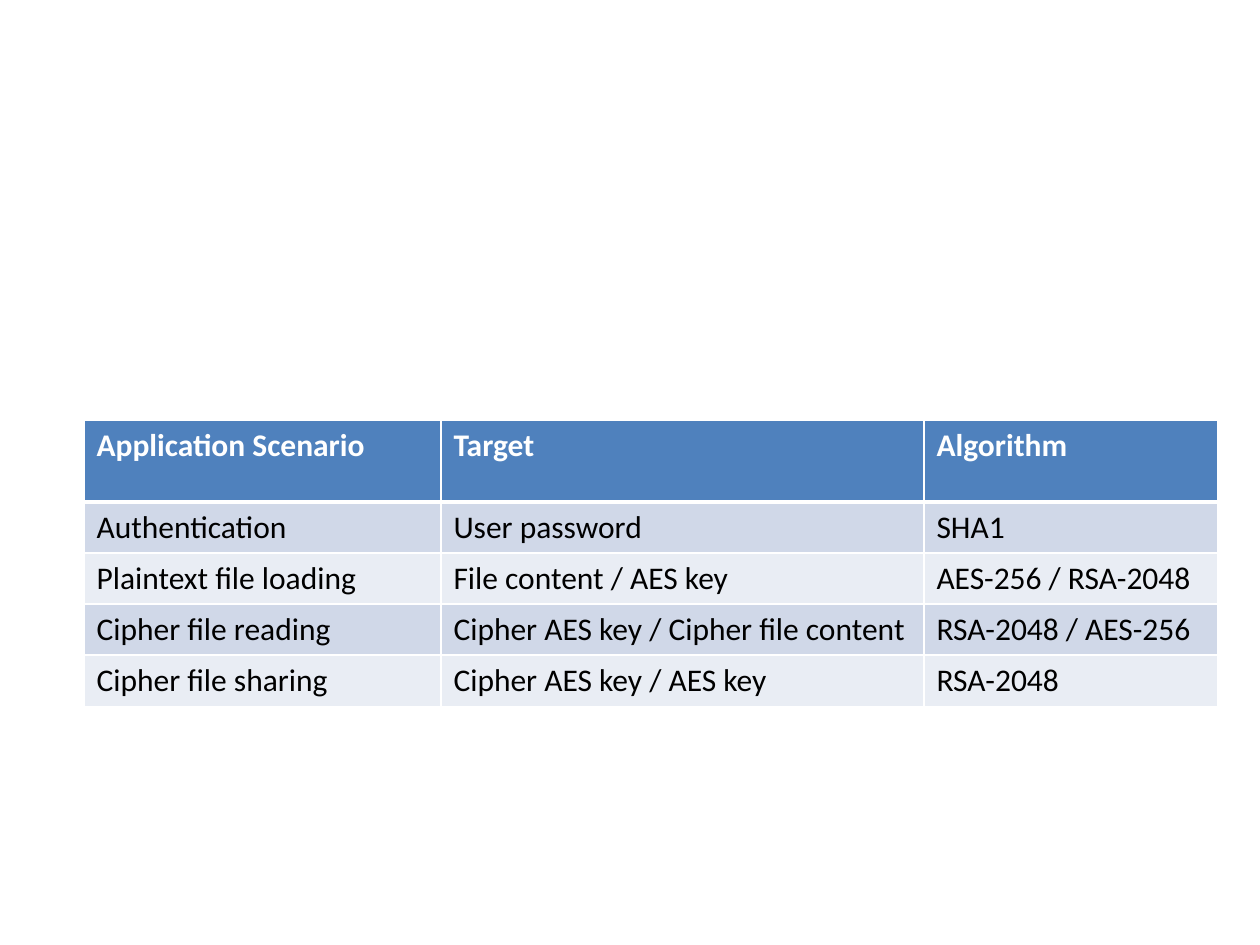
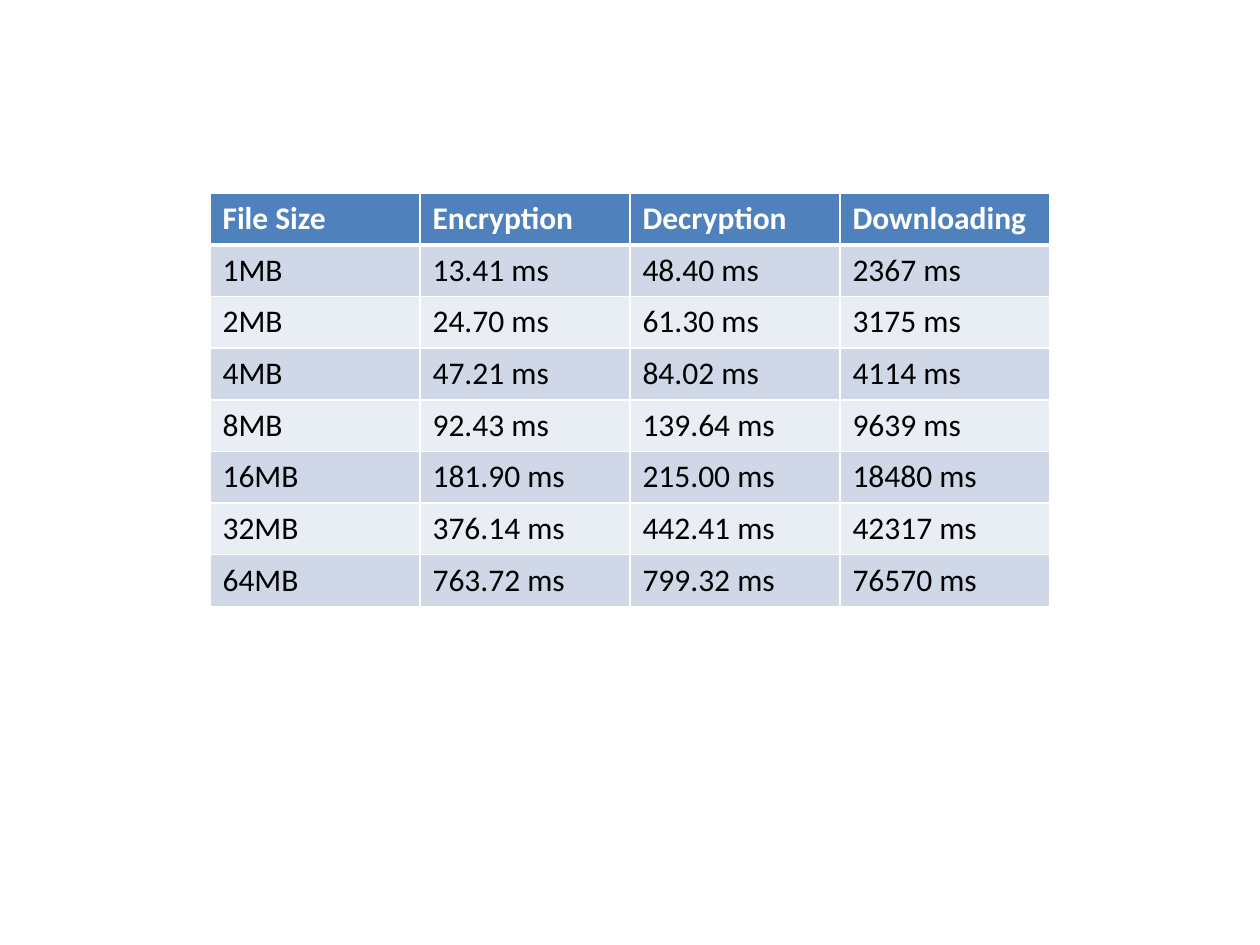
"""Two slides, each holding one table in a shared banded style."""
from lxml import etree
from pptx import Presentation
from pptx.dml.color import RGBColor
from pptx.oxml.ns import qn
from pptx.util import Inches, Pt

SLIDE_W, SLIDE_H = Inches(10), Inches(7.5)
UNIT = SLIDE_W / 60  # the slide is a grid of 60 columns of squares
BLANK = 6

FONT, SIZE = "Calibri", Pt(18)
WHITE, BLACK = "FFFFFF", "000000"
HEADER, BANDS = "4F81BD", ("D0D8E8", "E9EDF4")
THIN, THICK = 1, 3

ALGORITHMS = [
    ("Application Scenario", "Target", "Algorithm"),
    ("Authentication", "User password", "SHA1"),
    ("Plaintext file loading", "File content / AES key", "AES-256 / RSA-2048"),
    ("Cipher file reading", "Cipher AES key / Cipher file content",
     "RSA-2048 / AES-256"),
    ("Cipher file sharing", "Cipher AES key / AES key", "RSA-2048"),
]

TIMINGS = [
    ("File Size", "Encryption", "Decryption", "Downloading"),
    ("1MB", "13.41 ms", "48.40 ms", "2367 ms"),
    ("2MB", "24.70 ms", "61.30 ms", "3175 ms"),
    ("4MB", "47.21 ms", "84.02 ms", "4114 ms"),
    ("8MB", "92.43 ms", "139.64 ms", "9639 ms"),
    ("16MB", "181.90 ms", "215.00 ms", "18480 ms"),
    ("32MB", "376.14 ms", "442.41 ms", "42317 ms"),
    ("64MB", "763.72 ms", "799.32 ms", "76570 ms"),
]


def rgb(value):
    """Turn a hex string into a colour."""
    return RGBColor.from_string(value)


def units(count):
    """Turn grid units into a length."""
    return round(count * UNIT)


def set_borders(cell, top, bottom):
    """Draw white cell borders, thin at the sides; widths are in points."""
    tc_pr = cell._tc.get_or_add_tcPr()
    edges = (("L", THIN), ("R", THIN), ("T", top), ("B", bottom))
    for i, (side, width) in enumerate(edges):
        ln = etree.Element(qn(f"a:ln{side}"), w=str(Pt(width)))
        fill = etree.SubElement(ln, qn("a:solidFill"))
        etree.SubElement(fill, qn("a:srgbClr"), val=WHITE)
        tc_pr.insert(i, ln)


def fill_cell(cell, text, row):
    """Write and style one cell according to its row."""
    is_header = row == 0
    cell.fill.solid()
    cell.fill.fore_color.rgb = rgb(HEADER if is_header else BANDS[(row - 1) % 2])
    r = cell.text_frame.paragraphs[0].add_run()
    r.text = text
    r.font.name, r.font.size, r.font.bold = FONT, SIZE, is_header
    r.font.color.rgb = rgb(WHITE if is_header else BLACK)
    set_borders(cell, top=THICK if row == 1 else THIN,
                bottom=THICK if is_header else THIN)


def add_table_slide(prs, rows, left, top, columns, header_h, row_h, height):
    """Add a slide with a table; left, top and columns are in grid units."""
    s = prs.slides.add_slide(prs.slide_layouts[BLANK])
    frame = s.shapes.add_table(len(rows), len(columns), units(left), units(top),
                               units(sum(columns)), Inches(height))
    table = frame.table
    for column, width in zip(table.columns, columns):
        column.width = units(width)
    for i, texts in enumerate(rows):
        table.rows[i].height = Inches(row_h if i else header_h)
        for j, text in enumerate(texts):
            fill_cell(table.cell(i, j), text, i)
    frame.height = Inches(height)


def main():
    """Build and save the presentation."""
    prs = Presentation()
    prs.slide_width, prs.slide_height = SLIDE_W, SLIDE_H
    add_table_slide(prs, ALGORITHMS, left=4, top=20, columns=(17, 23, 14),
                    header_h=0.65, row_h=0.34, height=2.25)
    add_table_slide(prs, TIMINGS, left=10, top=9.2, columns=(10,) * 4,
                    header_h=0.41, row_h=0.41, height=3.24)
    prs.save("out.pptx")


main()
